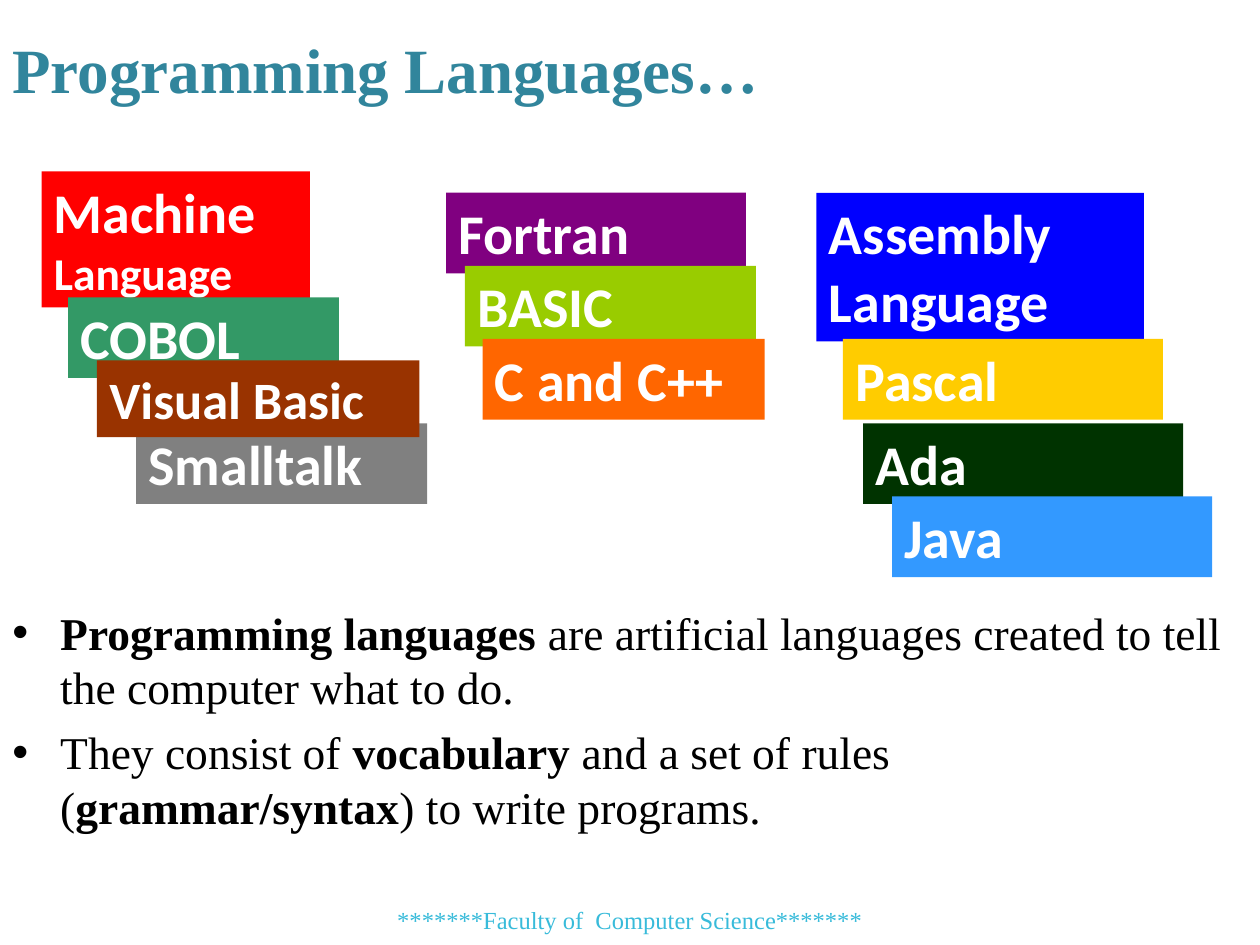
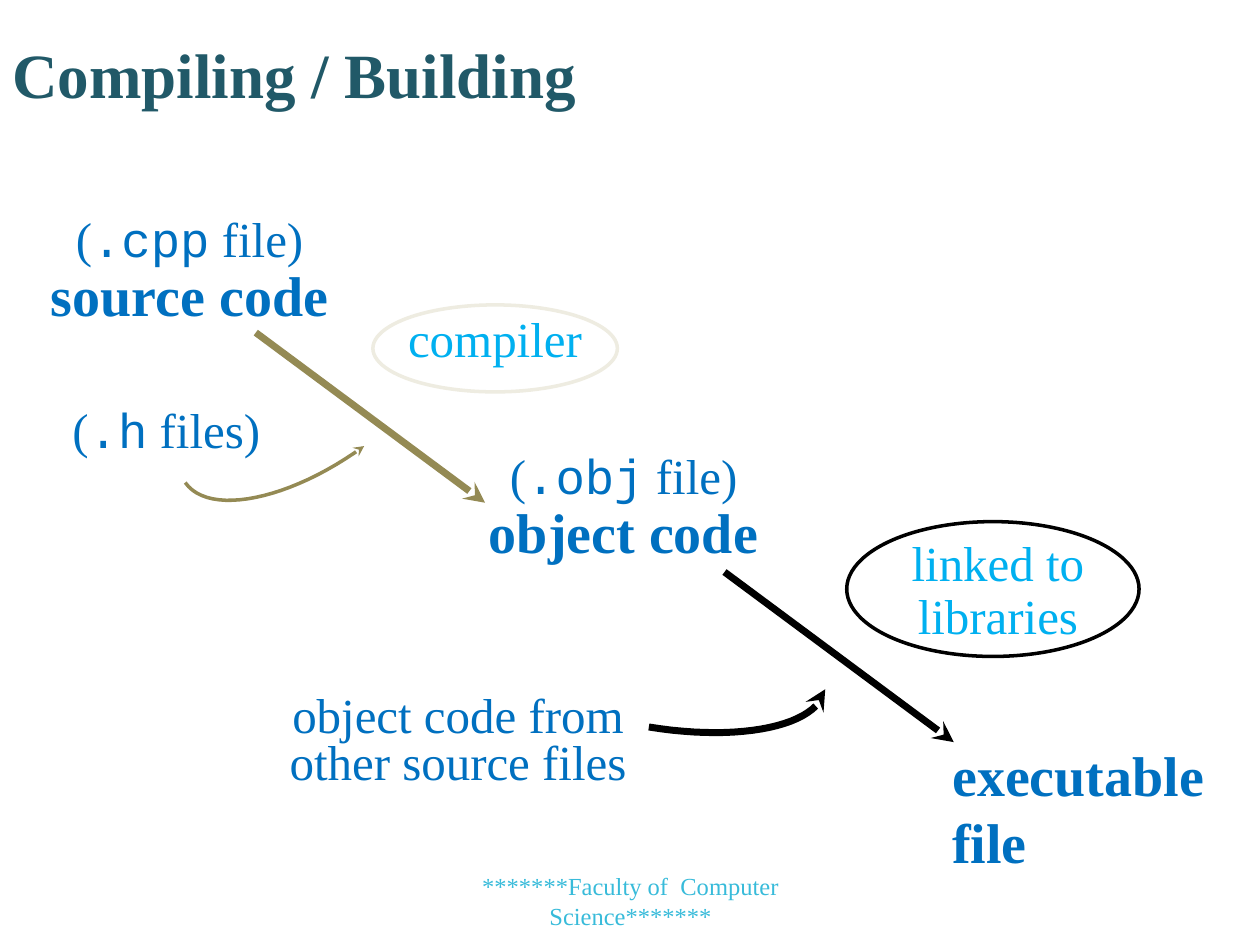
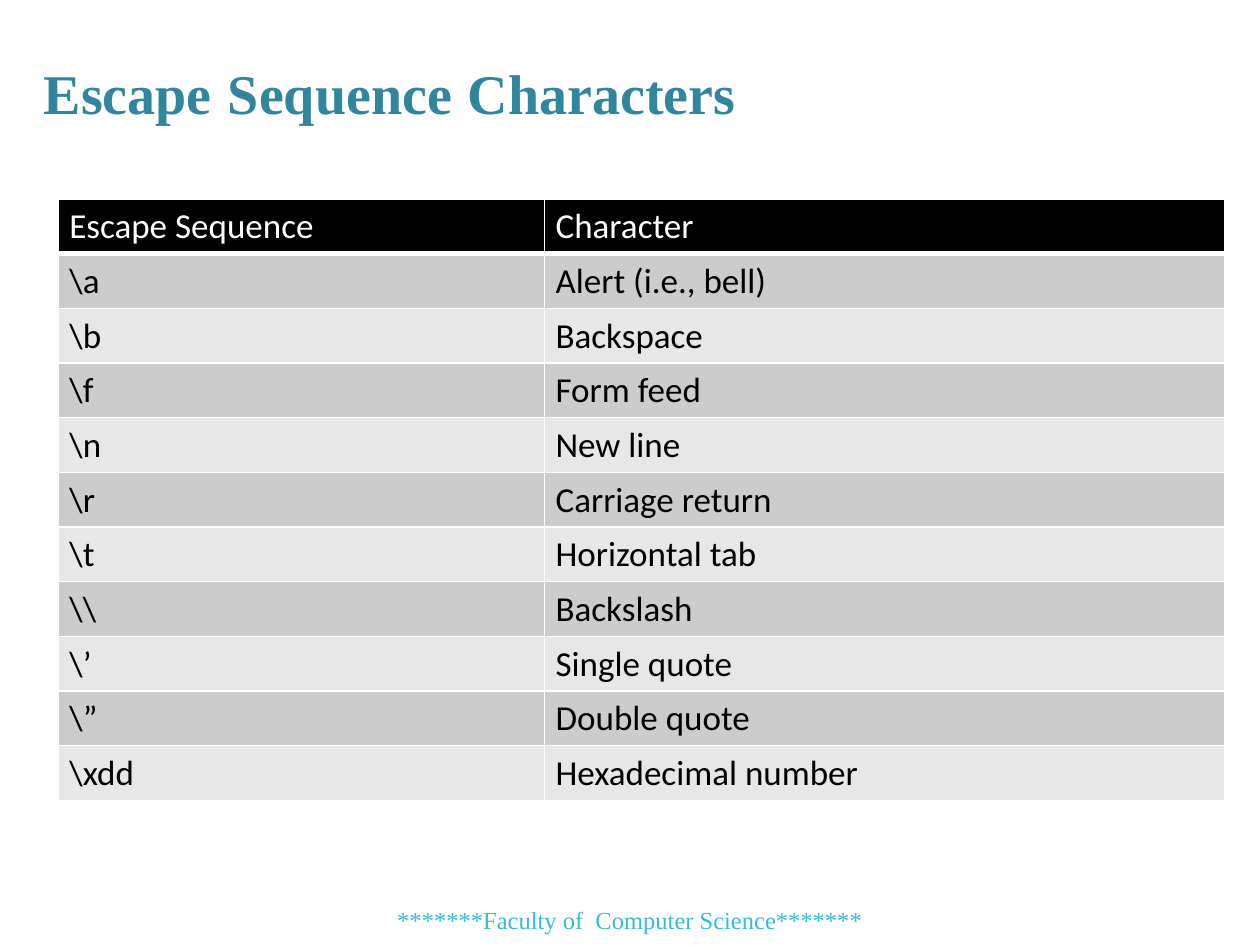
from dataclasses import dataclass
from typing import NamedTuple, Optional

from lxml.etree import SubElement
from pptx import Presentation
from pptx.dml.color import RGBColor
from pptx.enum.shapes import MSO_CONNECTOR, MSO_SHAPE
from pptx.enum.text import MSO_ANCHOR, PP_ALIGN
from pptx.oxml import parse_xml
from pptx.oxml.ns import nsdecls, qn
from pptx.util import Emu, Pt

EMU_PER_PX = 9144  # 100 px to the inch
LINE_BREAK = "\n"


@dataclass(frozen=True)
class Theme:
    serif: str = "Times New Roman"
    sans: str = "Calibri"
    mono: str = "Courier New"
    black: str = "000000"
    white: str = "FFFFFF"
    teal: str = "31859C"
    dark_teal: str = "215968"
    footer: str = "38BBDA"
    file_blue: str = "0070C0"
    tool_blue: str = "00B0F0"
    olive: str = "948A54"
    cream: str = "EEECE1"
    odd_row: str = "CCCCCC"
    even_row: str = "E7E7E7"
    title_size: int = 36
    name_size: int = 32
    file_size: int = 28
    body_size: int = 26
    table_size: int = 20
    footer_size: int = 14


THEME = Theme()


class Box(NamedTuple):
    left: int
    top: int
    width: int
    height: int


class Point(NamedTuple):
    x: int
    y: int


class Run(NamedTuple):
    """Text with only the formats that differ from its block."""
    text: str
    size: Optional[int] = None
    font: Optional[str] = None
    color: Optional[str] = None
    bold: Optional[bool] = None


class Language(NamedTuple):
    runs: list
    box: Box
    color: str
    size: int = THEME.name_size


class Label(NamedTuple):
    paragraphs: list
    box: Box
    color: str = THEME.file_blue
    align: PP_ALIGN = PP_ALIGN.CENTER
    spacing: float = 0.9


class Step(NamedTuple):
    start: Point
    end: Point
    color: str


class Curve(NamedTuple):
    """Bezier points, with the arrowhead at the first one."""
    points: list
    color: str
    width: int


class Ring(NamedTuple):
    box: Box
    color: str


LANGUAGES = [
    Language([Run("Machine"), Run(" Language", size=26)], Box(33, 136, 213, 108), "FF0000"),
    Language([Run("COBOL")], Box(54, 236, 215, 64), "339966"),
    Language([Run("Smalltalk")], Box(108, 336, 231, 64), "808080"),
    Language([Run("Visual Basic")], Box(77, 286, 256, 61), "993300", 30),
    Language([Run("Fortran")], Box(354, 153, 238, 64), "800080"),
    Language([Run("BASIC")], Box(369, 211, 231, 64), "99CC00"),
    Language([Run("C and C++")], Box(383, 269, 224, 64), "FF6600"),
    Language([Run("Assembly Language")], Box(648, 153, 260, 118), "0000FF"),
    Language([Run("Pascal")], Box(669, 269, 254, 64), "FFCC00"),
    Language([Run("Ada")], Box(685, 336, 254, 64), "003300"),
    Language([Run("Java")], Box(708, 394, 254, 64), "3399FF"),
]

DEFINITIONS = [
    [Run("Programming languages", bold=True),
     Run(" are artificial languages created to tell the computer what to do.")],
    [Run("They consist of "), Run("vocabulary", bold=True),
     Run(" and a set of rules ("), Run("grammar/syntax", bold=True),
     Run(") to write programs.")],
]


def file_runs(extension: str, noun: str = "file") -> list[Run]:
    return [Run("("), Run(extension, font=THEME.mono), Run(f" {noun})")]


def stage(name: str) -> Run:
    return Run(name, size=THEME.name_size, bold=True)


LABELS = [
    Label([file_runs(".cpp") + [Run(LINE_BREAK), stage("source code")]],
          Box(30, 166, 241, 101)),
    Label([[Run("compiler")]], Box(314, 249, 191, 48), THEME.tool_blue, PP_ALIGN.LEFT, 0.8),
    Label([file_runs(".obj") + [Run(LINE_BREAK), stage("object code")]],
          Box(370, 354, 250, 101)),
    Label([file_runs(".h", "files")], Box(33, 321, 198, 48), spacing=0.8),
    Label([[Run("linked to libraries")]], Box(708, 423, 168, 94), THEME.tool_blue),
    Label([[stage("executable file")]], Box(746, 583, 230, 118),
          align=PP_ALIGN.LEFT, spacing=1.0),
    Label([[Run("object code from other source files")]], Box(213, 547, 301, 86), spacing=0.8),
]
STEPS = [
    Step(Point(203, 264), Point(385, 399), THEME.olive),
    Step(Point(575, 454), Point(757, 589), THEME.black),
]
RINGS = [
    Ring(Box(296, 242, 194, 69), THEME.cream),
    Ring(Box(672, 414, 232, 107), THEME.black),
]
CURVES = [
    Curve([Point(289, 354), Point(230, 397), Point(166, 410), Point(147, 383)], THEME.olive, 2),
    Curve([Point(655, 547), Point(649, 576), Point(589, 589), Point(515, 577)], THEME.black, 4),
]

ESCAPES = [
    ("Escape Sequence", "Character"),
    (r"\a", "Alert (i.e., bell)"),
    (r"\b", "Backspace"),
    (r"\f", "Form feed"),
    (r"\n", "New line"),
    (r"\r", "Carriage return"),
    (r"\t", "Horizontal tab"),
    (r"\\", "Backslash"),
    (r"\’", "Single quote"),
    (r"\”", "Double quote"),
    (r"\xdd", "Hexadecimal number"),
]


def px(length: float) -> Emu:
    return Emu(round(length * EMU_PER_PX))


def emu_box(box: Box) -> list[Emu]:
    return [px(length) for length in box]


def rgb(color: str) -> RGBColor:
    return RGBColor.from_string(color)


def write_text(frame, paragraphs: list, *, size: int, color: str, font: str = THEME.serif,
               bold: bool = False, align: PP_ALIGN = PP_ALIGN.LEFT, spacing: float = 1.0,
               space_before: int = 0, bullet_indent: int = 0) -> None:
    for index, runs in enumerate(paragraphs):
        paragraph = frame.add_paragraph() if index else frame.paragraphs[0]
        paragraph.alignment = align
        paragraph.line_spacing = spacing
        paragraph.space_before = Pt(space_before)
        if bullet_indent:
            properties = paragraph._p.get_or_add_pPr()
            properties.set("marL", str(px(bullet_indent)))
            properties.set("indent", str(-px(bullet_indent)))
            SubElement(properties, qn("a:buFont")).set("typeface", "Arial")
            SubElement(properties, qn("a:buChar")).set("char", "•")
        for part in runs:
            if part.text == LINE_BREAK:
                paragraph.add_line_break()
                continue
            run = paragraph.add_run()
            run.text = part.text
            run.font.size = Pt(part.size or size)
            run.font.name = part.font or font
            run.font.color.rgb = rgb(part.color or color)
            run.font.bold = bold if part.bold is None else part.bold


def add_text(slide, box: Box, paragraphs: list, *, anchor: MSO_ANCHOR = MSO_ANCHOR.TOP,
             **text_format) -> None:
    frame = slide.shapes.add_textbox(*emu_box(box)).text_frame
    frame.word_wrap = True
    frame.vertical_anchor = anchor
    write_text(frame, paragraphs, **text_format)


def add_title(slide, box: Box, runs: list[Run], color: str = THEME.teal) -> None:
    add_text(slide, box, [runs], anchor=MSO_ANCHOR.MIDDLE,
             size=THEME.title_size, color=color, bold=True)


def add_footer(slide, box: Box = Box(0, 710, 1000, 40)) -> None:
    add_text(slide, box, [[Run("*******Faculty of  Computer Science*******")]],
             anchor=MSO_ANCHOR.MIDDLE, align=PP_ALIGN.CENTER,
             size=THEME.footer_size, color=THEME.footer)


def add_language(slide, language: Language) -> None:
    card = slide.shapes.add_shape(MSO_SHAPE.RECTANGLE, *emu_box(language.box))
    card.shadow.inherit = False
    card.fill.solid()
    card.fill.fore_color.rgb = rgb(language.color)
    card.line.fill.background()
    card.text_frame.word_wrap = True
    card.text_frame.vertical_anchor = MSO_ANCHOR.TOP
    write_text(card.text_frame, [language.runs], size=language.size,
               color=THEME.white, font=THEME.sans, bold=True)


def style_line(shape, color: str, width: int, arrow_end: str = "") -> None:
    """Set the line; arrow_end is headEnd (first point) or tailEnd (last point)."""
    shape.line.color.rgb = rgb(color)
    shape.line.width = Pt(width)
    if arrow_end:
        line = shape._element.spPr.find(qn("a:ln"))
        SubElement(line, qn(f"a:{arrow_end}")).set("type", "stealth")


def add_step(slide, step: Step) -> None:
    arrow = slide.shapes.add_connector(
        MSO_CONNECTOR.STRAIGHT, *[px(length) for length in (*step.start, *step.end)])
    style_line(arrow, step.color, 4, "tailEnd")
    SubElement(arrow._element.spPr, qn("a:effectLst"))


def add_ring(slide, ring: Ring) -> None:
    ellipse = slide.shapes.add_shape(MSO_SHAPE.OVAL, *emu_box(ring.box))
    ellipse.shadow.inherit = False
    ellipse.fill.background()
    style_line(ellipse, ring.color, 2)


def bezier(points: list[Point], pieces: int = 24) -> list[tuple[Emu, Emu]]:
    def at(t: float, values: tuple) -> Emu:
        weights = ((1 - t) ** 3, 3 * t * (1 - t) ** 2, 3 * t * t * (1 - t), t ** 3)
        return px(sum(weight * value for weight, value in zip(weights, values)))

    xs, ys = zip(*points)
    return [(at(i / pieces, xs), at(i / pieces, ys)) for i in range(pieces + 1)]


def add_curve(slide, curve: Curve) -> None:
    first, *rest = bezier(curve.points)
    builder = slide.shapes.build_freeform(*first)
    builder.add_line_segments(rest, close=False)
    arrow = builder.convert_to_shape()
    arrow.shadow.inherit = False
    arrow.fill.background()
    style_line(arrow, curve.color, curve.width, "headEnd")


def set_borders(cell, bottom_width: int) -> None:
    properties = cell._tc.get_or_add_tcPr()
    for index, side in enumerate("LRTB"):
        width = Pt(bottom_width if side == "B" else 1)
        properties.insert(index, parse_xml(
            f'<a:ln{side} {nsdecls("a")} w="{width}"><a:solidFill>'
            f'<a:srgbClr val="{THEME.white}"/></a:solidFill></a:ln{side}>'))


def add_escape_table(slide) -> None:
    table = slide.shapes.add_table(len(ESCAPES), 2, *emu_box(Box(46, 158, 926, 477))).table
    table.first_row = table.horz_banding = False
    for column, width in zip(table.columns, (386, 540)):
        column.width = px(width)
    for row, entries in enumerate(ESCAPES):
        is_header = row == 0
        band = THEME.odd_row if row % 2 else THEME.even_row
        for column, entry in enumerate(entries):
            cell = table.cell(row, column)
            cell.margin_left = cell.margin_right = px(9)
            cell.fill.solid()
            cell.fill.fore_color.rgb = rgb(THEME.black if is_header else band)
            set_borders(cell, 3 if is_header else 1)
            write_text(cell.text_frame, [[Run(entry)]], size=THEME.table_size,
                       font=THEME.sans, color=THEME.white if is_header else THEME.black)


def build_languages(slide) -> None:
    for language in LANGUAGES:
        add_language(slide, language)
    add_title(slide, Box(0, 0, 669, 108), [Run("Programming Languages…")])
    add_text(slide, Box(0, 475, 1000, 258), DEFINITIONS, size=THEME.body_size,
             color=THEME.black, space_before=6, bullet_indent=38)
    add_footer(slide)


def build_compiling(slide) -> None:
    add_title(slide, Box(0, 0, 683, 117), [Run("Compiling / Building")], THEME.dark_teal)
    for step in STEPS:
        add_step(slide, step)
    for label in LABELS:
        add_text(slide, label.box, label.paragraphs, size=THEME.file_size,
                 color=label.color, align=label.align, spacing=label.spacing)
    for ring in RINGS:
        add_ring(slide, ring)
    for curve in CURVES:
        add_curve(slide, curve)
    add_footer(slide, Box(342, 695, 317, 40))


def build_escapes(slide) -> None:
    gap = Run(" ", color=THEME.black)
    escape, sequence, characters = (
        Run(word, size=THEME.name_size) for word in ("Escape", "Sequence", "Characters"))
    add_title(slide, Box(25, 17, 692, 108), [escape, gap, sequence, gap, characters])
    add_escape_table(slide)
    add_footer(slide)


def main() -> None:
    deck = Presentation()
    deck.slide_width, deck.slide_height = px(1000), px(750)
    blank = deck.slide_layouts[6]
    for build in (build_languages, build_compiling, build_escapes):
        build(deck.slides.add_slide(blank))
    deck.save("out.pptx")


if __name__ == "__main__":
    main()
